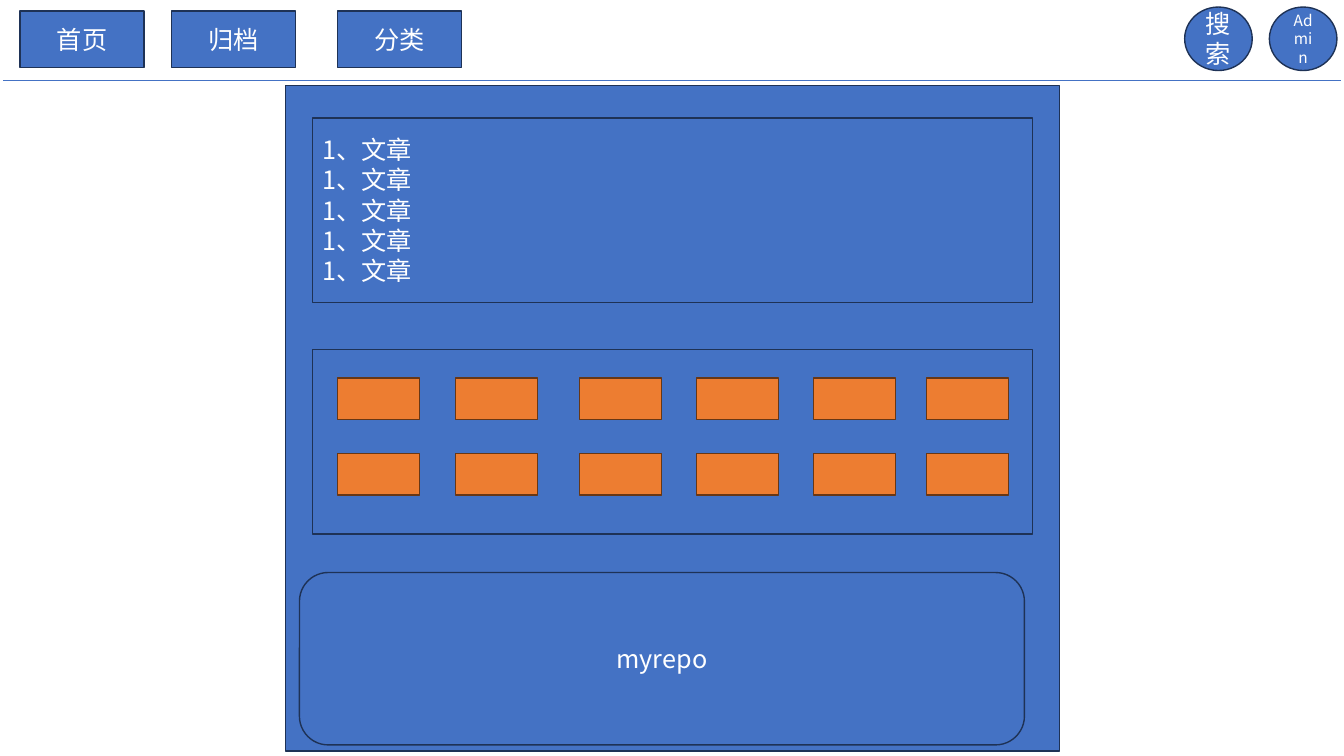
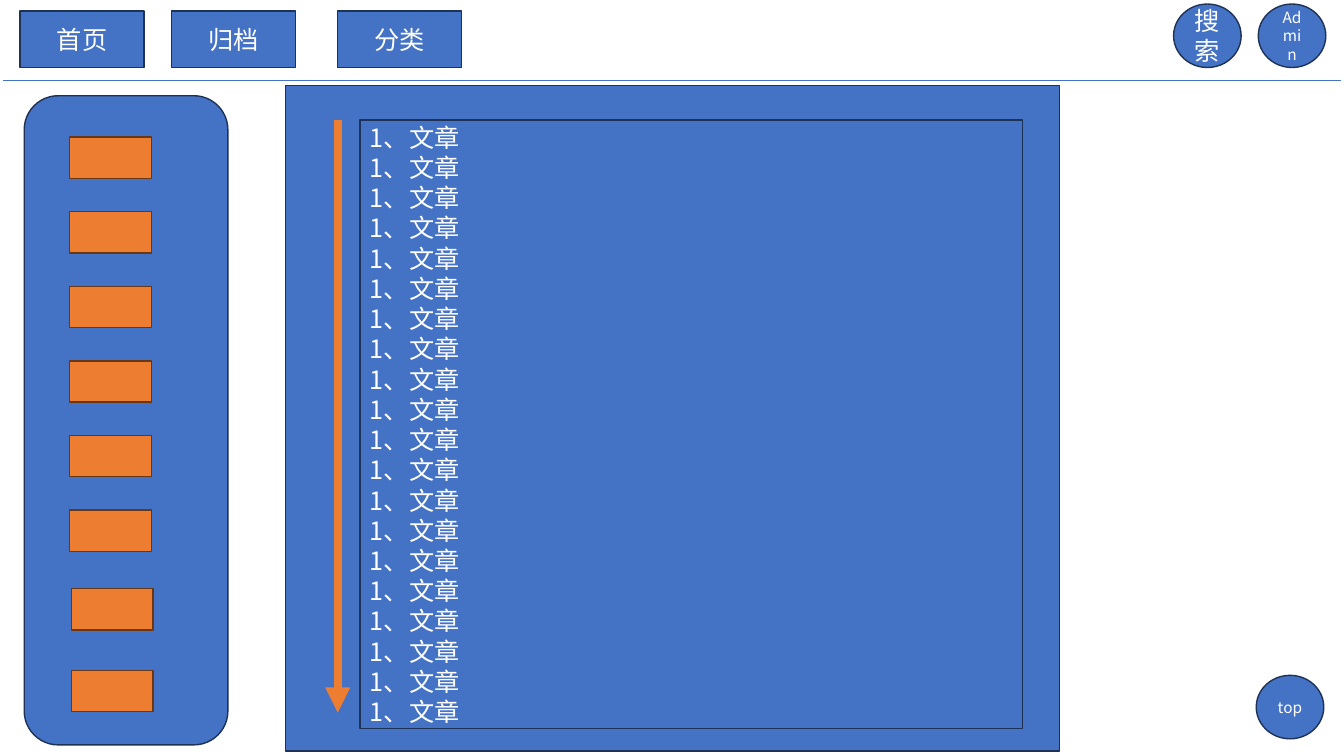
from dataclasses import dataclass
from itertools import product

from lxml import etree
from pptx import Presentation
from pptx.dml.color import RGBColor
from pptx.enum import shapes, text
from pptx.oxml import ns
from pptx.util import Inches, Pt


# Theme and element descriptions
@dataclass(frozen=True)
class Theme:
    blue: str = "4472C4"
    blue_edge: str = "1E3256"
    orange: str = "ED7D31"
    orange_edge: str = "683715"
    white: str = "FFFFFF"
    font: str = "Noto Sans CJK SC"
    body_size: float = 18
    small_size: float = 11
    edge_width: float = 1
    rule_width: float = 0.5
    arrow_width: float = 6


@dataclass(frozen=True)
class Box:
    left: float
    top: float
    width: float
    height: float
    kind: shapes.MSO_SHAPE = shapes.MSO_SHAPE.RECTANGLE
    fill: str = Theme.blue
    edge: str = Theme.blue_edge


THEME = Theme()
ROUNDED = shapes.MSO_SHAPE.ROUNDED_RECTANGLE
MENU = {"首页": 0.2, "归档": 1.7, "分类": 3.35}
ARTICLE = "1、文章"
PAGE_PANEL = Box(2.83, 0.85, 7.68, 6.6)


# Drawing functions
def add_box(slide, box: Box):
    shape = slide.shapes.add_shape(
        box.kind, Inches(box.left), Inches(box.top), Inches(box.width), Inches(box.height))
    shape.shadow.inherit = False
    shape.fill.solid()
    shape.fill.fore_color.rgb = RGBColor.from_string(box.fill)
    shape.line.color.rgb = RGBColor.from_string(box.edge)
    shape.line.width = Pt(THEME.edge_width)
    return shape


def write_text(shape, lines: list[str], *, size: float = THEME.body_size,
               color: str = THEME.white, align=text.PP_ALIGN.CENTER) -> None:
    frame = shape.text_frame
    frame.word_wrap = True
    frame.vertical_anchor = text.MSO_ANCHOR.MIDDLE
    for index, line in enumerate(lines):
        paragraph = frame.add_paragraph() if index else frame.paragraphs[0]
        paragraph.alignment = align
        run = paragraph.add_run()
        run.text = line
        run.font.size = Pt(size)
        run.font.name = THEME.font
        run.font.color.rgb = RGBColor.from_string(color)
        east_asian = etree.SubElement(run.font._element, ns.qn("a:ea"))
        east_asian.set("typeface", THEME.font)


def add_line(slide, start: tuple[float, float], end: tuple[float, float], *,
             color: str, width: float, arrow: bool = False) -> None:
    x1, y1, x2, y2 = (Inches(value) for value in (*start, *end))
    connector = slide.shapes.add_connector(shapes.MSO_CONNECTOR.STRAIGHT, x1, y1, x2, y2)
    connector.line.color.rgb = RGBColor.from_string(color)
    connector.line.width = Pt(width)
    if arrow:
        tail = etree.SubElement(connector.line._get_or_add_ln(), ns.qn("a:tailEnd"))
        tail.set("type", "triangle")
    etree.SubElement(connector._element.spPr, ns.qn("a:effectLst"))


def add_button(slide, label: str, left: float, top: float,
               size: float = THEME.small_size) -> None:
    button = add_box(slide, Box(left, top, 0.67, 0.63, shapes.MSO_SHAPE.OVAL))
    write_text(button, [label], size=size)


def add_tag(slide, left: float, top: float) -> None:
    add_box(slide, Box(left, top, 0.81, 0.41, fill=THEME.orange, edge=THEME.orange_edge))


def add_articles(slide, box: Box, count: int) -> None:
    write_text(add_box(slide, box), [ARTICLE] * count, align=text.PP_ALIGN.LEFT)


def add_page(presentation, search_left: float, button_top: float):
    """Add a blank slide with the shared menu bar and page panel."""
    slide = presentation.slides.add_slide(presentation.slide_layouts[6])
    add_line(slide, (0.03, 0.8), (13.3, 0.8), color=THEME.blue, width=THEME.rule_width)
    for label, left in MENU.items():
        write_text(add_box(slide, Box(left, 0.11, 1.23, 0.56)), [label])
    add_button(slide, "搜索", search_left, button_top, THEME.body_size)
    add_button(slide, "Admin", search_left + 0.84, button_top)
    add_box(slide, PAGE_PANEL)
    return slide


# Slides
def build_home(presentation) -> None:
    slide = add_page(presentation, search_left=11.75, button_top=0.07)
    add_articles(slide, Box(3.1, 1.17, 7.14, 1.83), 5)

    # Tag grid
    add_box(slide, Box(3.1, 3.47, 7.14, 1.83))
    columns = (3.35, 4.52, 5.75, 6.91, 8.07, 9.19)
    for top, left in product((3.75, 4.5), columns):
        add_tag(slide, left, top)

    # Repository panel
    write_text(add_box(slide, Box(2.97, 5.68, 7.19, 1.71, ROUNDED)), ["myrepo"])


def build_archive(presentation) -> None:
    slide = add_page(presentation, search_left=11.64, button_top=0.04)

    # Article list with its timeline
    add_articles(slide, Box(3.57, 1.19, 6.57, 6.04), 20)
    add_line(slide, (3.35, 1.19), (3.35, 7.07), color=THEME.orange,
             width=THEME.arrow_width, arrow=True)

    # Sidebar: six evenly spaced tags, then two set lower
    add_box(slide, Box(0.24, 0.95, 2.02, 6.44, ROUNDED))
    for index in range(6):
        add_tag(slide, 0.69, 1.36 + 0.74 * index)
    for top in (5.84, 6.65):
        add_tag(slide, 0.71, top)

    add_button(slide, "top", 12.46, 6.7)


def main() -> None:
    presentation = Presentation()
    presentation.slide_width = Inches(13.33)
    presentation.slide_height = Inches(7.5)
    build_home(presentation)
    build_archive(presentation)
    presentation.save("out.pptx")


if __name__ == "__main__":
    main()
